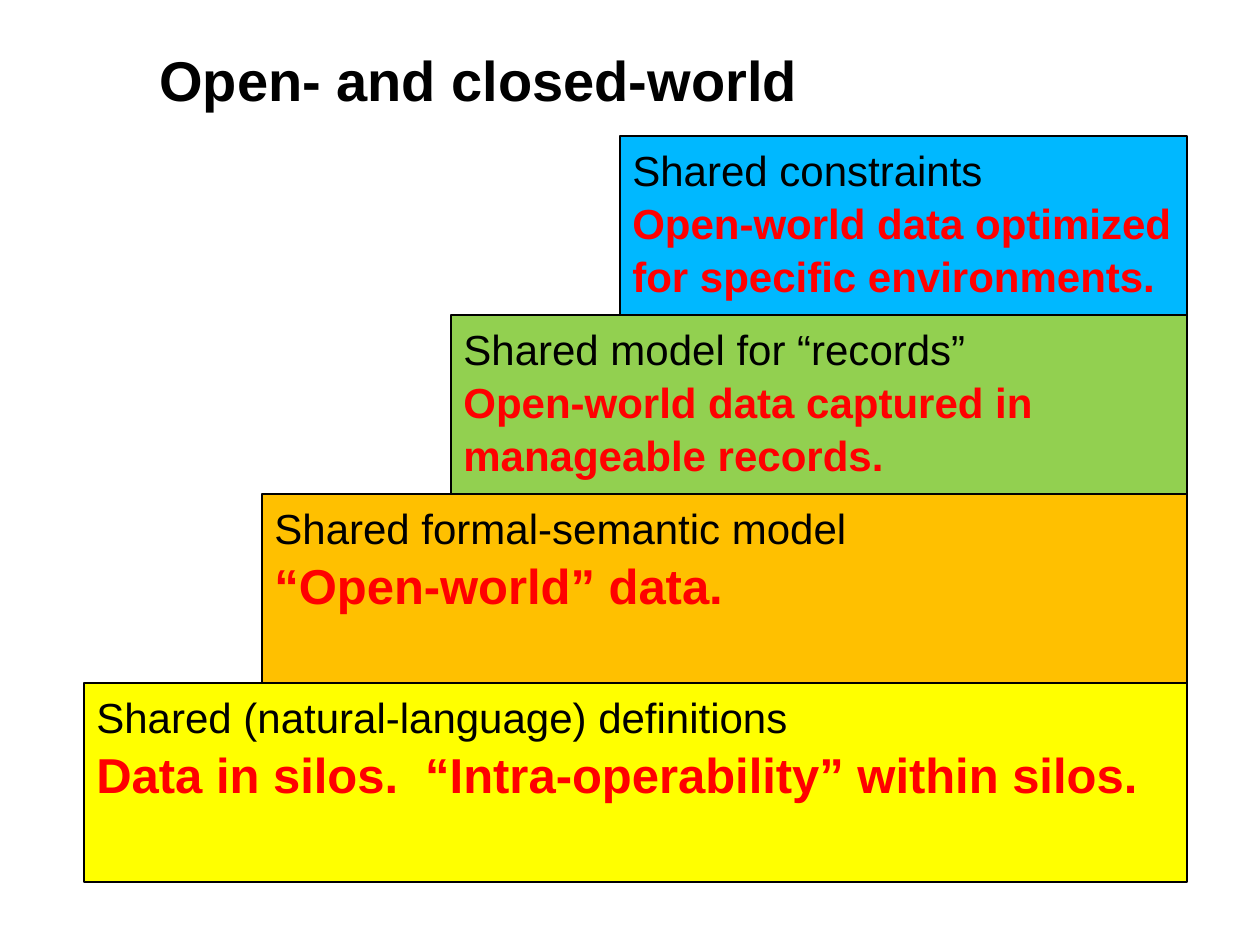
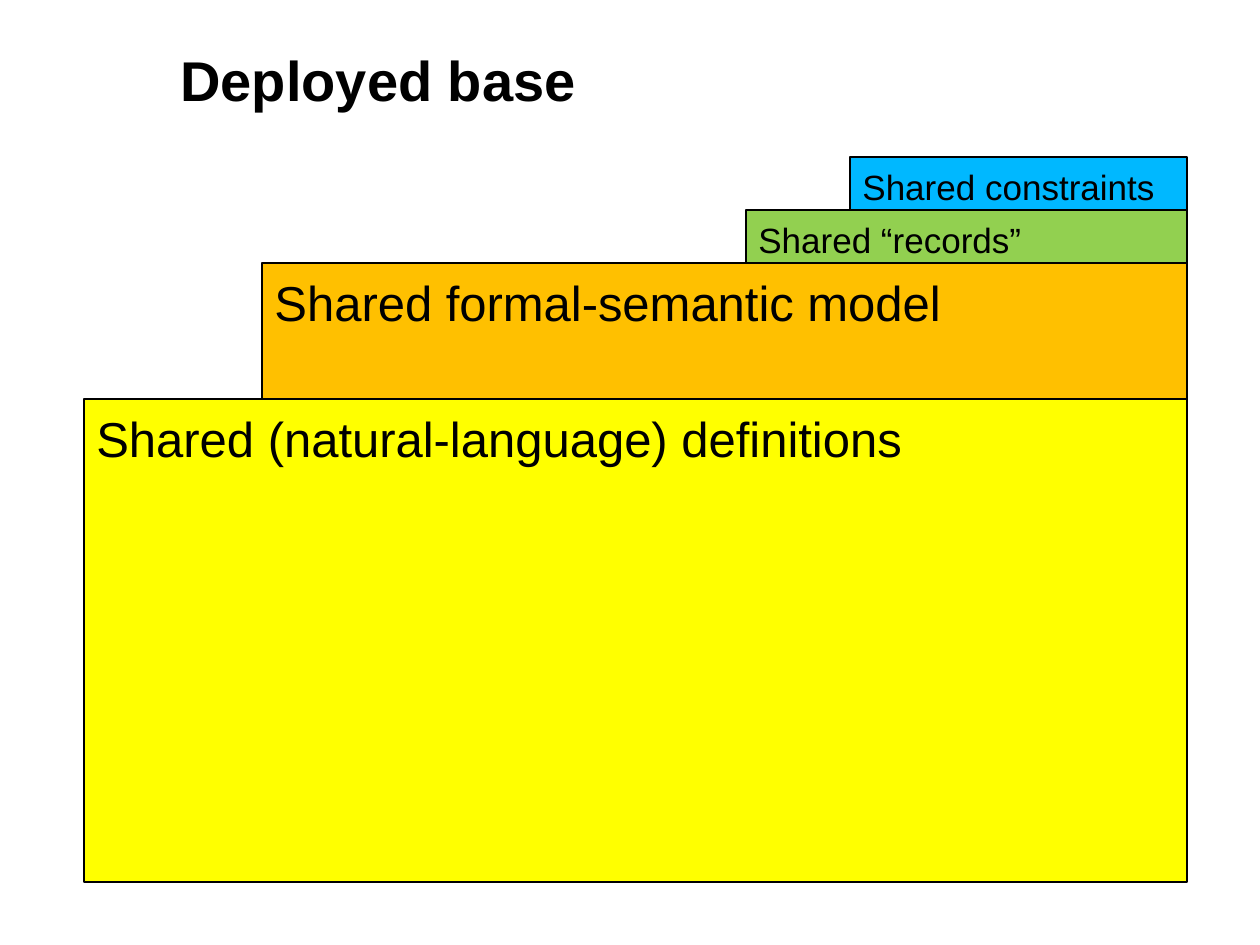
import pptx
import pptx.util
import pptx.dml.color
import pptx.enum.shapes
import pptx.enum.text

RGB = pptx.dml.color.RGBColor
BLACK = RGB(0x00, 0x00, 0x00)
RED = RGB(0xFF, 0x00, 0x00)
YELLOW = RGB(0xFF, 0xFF, 0x00)
AMBER = RGB(0xFF, 0xC0, 0x00)
GREEN = RGB(0x92, 0xD0, 0x50)
BLUE = RGB(0x00, 0xB8, 0xFF)

# Content: each step is left, height, then lines of (text, size, colour, bold),
# listed from the bottom step up
SLIDES = [
    {"title": "Open- and closed-world", "left": 147, "steps": [
        (84, 199, [("Shared (natural-language) definitions", 24, BLACK, False),
                   ("Data in silos.  “Intra-operability” within silos.", 28, RED, True)]),
        (262, 189, [("Shared formal-semantic model", 24, BLACK, False),
                    ("“Open-world” data.", 28, RED, True)]),
        (451, 179, [("Shared model for “records”", 24, BLACK, False),
                    ("Open-world data captured in manageable records.", 24, RED, True)]),
        (620, 179, [("Shared constraints", 24, BLACK, False),
                    ("Open-world data optimized for specific environments.", 24, RED, True)]),
    ]},
    {"title": "Deployed base", "left": 168, "steps": [
        (84, 483, [("Shared (natural-language) definitions", 28, BLACK, False)]),
        (262, 136, [("Shared formal-semantic model", 28, BLACK, False)]),
        (746, 53, [("Shared “records”", 20, BLACK, False)]),
        (850, 53, [("Shared constraints", 20, BLACK, False)]),
    ]},
]

# Shared layout, in px
WIDE, HIGH = 1260, 945
FILLS = [YELLOW, AMBER, GREEN, BLUE]
RIGHT, BASE = 1187, 882
HEAD = {"top": -21, "right": 1167, "high": 200}
FONT = "Arial"
ANCHOR = pptx.enum.text.MSO_ANCHOR


def px(n):
    return pptx.util.Emu(round(n * 914400 / 126))


def write(shape, lines, anchor, space):
    frame = shape.text_frame
    box = {"word_wrap": True, "vertical_anchor": anchor,
           "margin_left": pptx.util.Inches(0.1), "margin_right": pptx.util.Inches(0.1),
           "margin_top": pptx.util.Inches(0.05), "margin_bottom": pptx.util.Inches(0.05)}
    for key, val in box.items():
        setattr(frame, key, val)
    for i, (text, size, color, bold) in enumerate(lines):
        para = frame.paragraphs[0] if i == 0 else frame.add_paragraph()
        para.alignment = pptx.enum.text.PP_ALIGN.LEFT
        para.line_spacing = space
        run = para.add_run()
        run.text = text
        look = {"name": FONT, "size": pptx.util.Pt(size), "bold": bold}
        for key, val in look.items():
            setattr(run.font, key, val)
        run.font.color.rgb = color


def add_title(slide, text, left):
    box = slide.shapes.add_textbox(px(left), px(HEAD["top"]),
                                   px(HEAD["right"] - left), px(HEAD["high"]))
    write(box, [(text, 32, BLACK, True)], ANCHOR.MIDDLE, 1.0)


def add_steps(slide, steps):
    # Steps share a right edge and stack upward from the base
    top = BASE
    for (left, high, lines), fill in zip(steps, FILLS):
        top -= high
        step = slide.shapes.add_shape(pptx.enum.shapes.MSO_SHAPE.RECTANGLE,
                                      px(left), px(top), px(RIGHT - left), px(high))
        step.shadow.inherit = False
        step.fill.solid()
        step.fill.fore_color.rgb = fill
        step.line.color.rgb = BLACK
        step.line.width = pptx.util.Pt(0.75)
        write(step, lines, ANCHOR.TOP, 1.05)


def main():
    deck = pptx.Presentation()
    deck.slide_width, deck.slide_height = px(WIDE), px(HIGH)
    for page in SLIDES:
        slide = deck.slides.add_slide(deck.slide_layouts[6])
        add_title(slide, page["title"], page["left"])
        add_steps(slide, page["steps"])
    deck.save("out.pptx")


if __name__ == "__main__":
    main()
